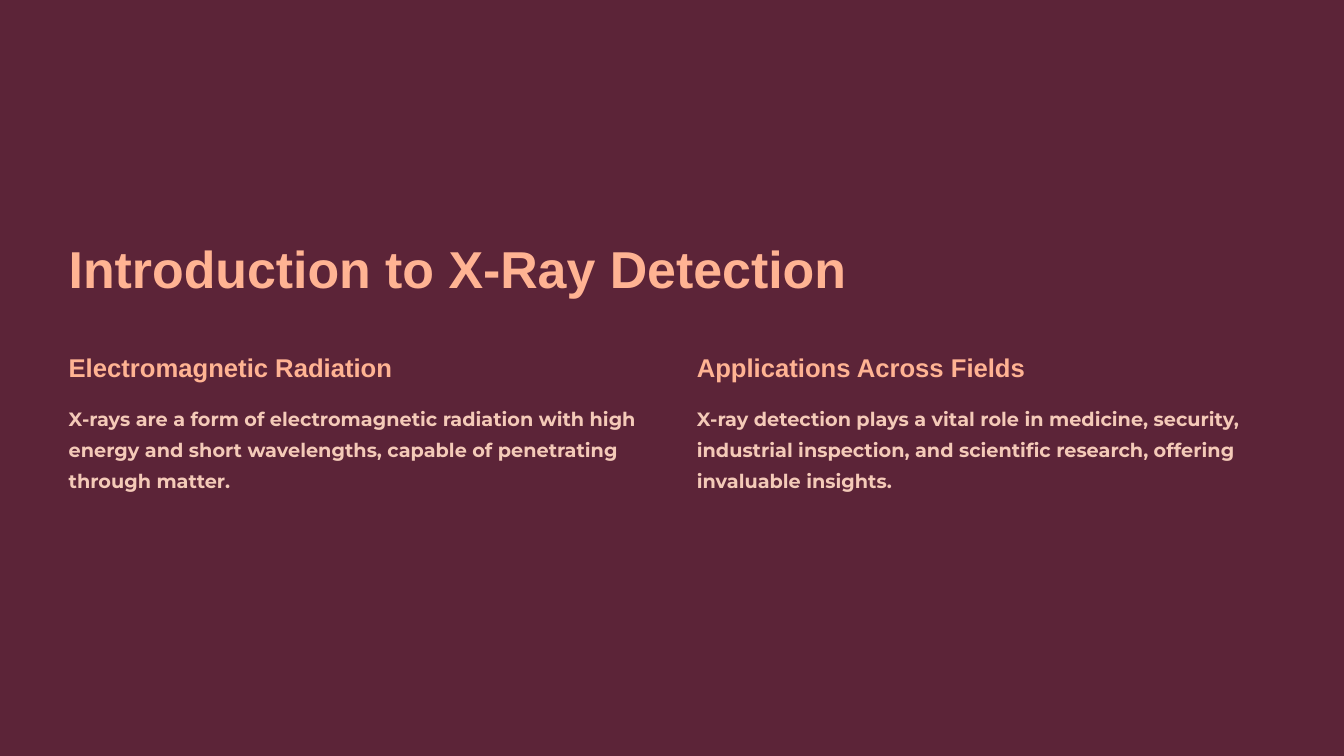
"""Build the introduction slide on X-ray detection with two text columns."""
from dataclasses import dataclass

import pptx
import pptx.dml.color
import pptx.enum.shapes
import pptx.enum.text
import pptx.util
from pptx.shapes.base import BaseShape
from pptx.slide import Slide


@dataclass(frozen=True)
class TextStyle:
    font: str
    size: float
    line: float
    color: str


@dataclass(frozen=True)
class Theme:
    backdrop: str = "421424"
    panel: str = "5C2438"
    title: TextStyle = TextStyle("Arial", 55.6, 70, "FFB393")
    heading: TextStyle = TextStyle("Arial", 27.5, 35, "FFB393")
    body: TextStyle = TextStyle("Montserrat", 20.6, 33.1, "F4CAB8")


@dataclass(frozen=True)
class Frame:
    left: float
    top: float
    width: float
    height: float


@dataclass(frozen=True)
class Column:
    heading: str
    body: str


THEME = Theme()
PAGE = Frame(0, 0, 1440, 810)
MARGIN = 73.6
COLUMN_WIDTH, COLUMN_STEP = 620.6, 673
COLUMNS = [
    Column(
        "Electromagnetic Radiation",
        "X-rays are a form of electromagnetic radiation with high energy and short "
        "wavelengths, capable of penetrating through matter.",
    ),
    Column(
        "Applications Across Fields",
        "X-ray detection plays a vital role in medicine, security, industrial "
        "inspection, and scientific research, offering invaluable insights.",
    ),
]


def write_text(box: BaseShape, text: str, style: TextStyle) -> None:
    frame = box.text_frame
    frame.text = text
    frame.word_wrap = True
    frame.auto_size = pptx.enum.text.MSO_AUTO_SIZE.NONE
    frame.vertical_anchor = pptx.enum.text.MSO_ANCHOR.TOP
    frame.margin_left = frame.margin_right = frame.margin_top = frame.margin_bottom = 0
    para = frame.paragraphs[0]
    para.alignment = pptx.enum.text.PP_ALIGN.LEFT
    para.line_spacing = pptx.util.Pt(style.line)
    para.space_before = pptx.util.Pt(0)
    for span in para.runs:
        span.font.name = style.font
        span.font.size = pptx.util.Pt(style.size)
        span.font.bold = True
        span.font.color.rgb = pptx.dml.color.RGBColor.from_string(style.color)


def add_panel(page: Slide, frame: Frame, color: str) -> None:
    panel = page.shapes.add_shape(
        pptx.enum.shapes.MSO_SHAPE.RECTANGLE,
        pptx.util.Pt(frame.left),
        pptx.util.Pt(frame.top),
        pptx.util.Pt(frame.width),
        pptx.util.Pt(frame.height),
    )
    panel.shadow.inherit = False
    panel.fill.solid()
    panel.fill.fore_color.rgb = pptx.dml.color.RGBColor.from_string(color)
    panel.line.fill.background()
    page.shapes.title.element.addprevious(panel.element)


def add_title(page: Slide, text: str, frame: Frame) -> None:
    title = page.shapes.title
    title.left, title.top = pptx.util.Pt(frame.left), pptx.util.Pt(frame.top)
    title.width, title.height = pptx.util.Pt(frame.width), pptx.util.Pt(frame.height)
    write_text(title, text, THEME.title)


def add_text(page: Slide, text: str, frame: Frame, style: TextStyle) -> None:
    box = page.shapes.add_textbox(
        pptx.util.Pt(frame.left),
        pptx.util.Pt(frame.top),
        pptx.util.Pt(frame.width),
        pptx.util.Pt(frame.height),
    )
    write_text(box, text, style)


def add_column(page: Slide, column: Column, left: float) -> None:
    add_text(page, column.heading, Frame(left, 374.7, 365, 39), THEME.heading)
    add_text(page, column.body, Frame(left, 427.7, COLUMN_WIDTH, 108), THEME.body)


def main() -> None:
    deck = pptx.Presentation()
    deck.slide_width = pptx.util.Pt(PAGE.width)
    deck.slide_height = pptx.util.Pt(PAGE.height)
    page = deck.slides.add_slide(deck.slide_layouts.get_by_name("Title Only"))
    fill = page.background.fill
    fill.solid()
    fill.fore_color.rgb = pptx.dml.color.RGBColor.from_string(THEME.backdrop)
    add_panel(page, PAGE, THEME.panel)
    add_title(page, "Introduction to X-Ray Detection", Frame(MARGIN, 249.8, 867, 75.6))
    for index, column in enumerate(COLUMNS):
        add_column(page, column, MARGIN + index * COLUMN_STEP)
    deck.save("out.pptx")


if __name__ == "__main__":
    main()
